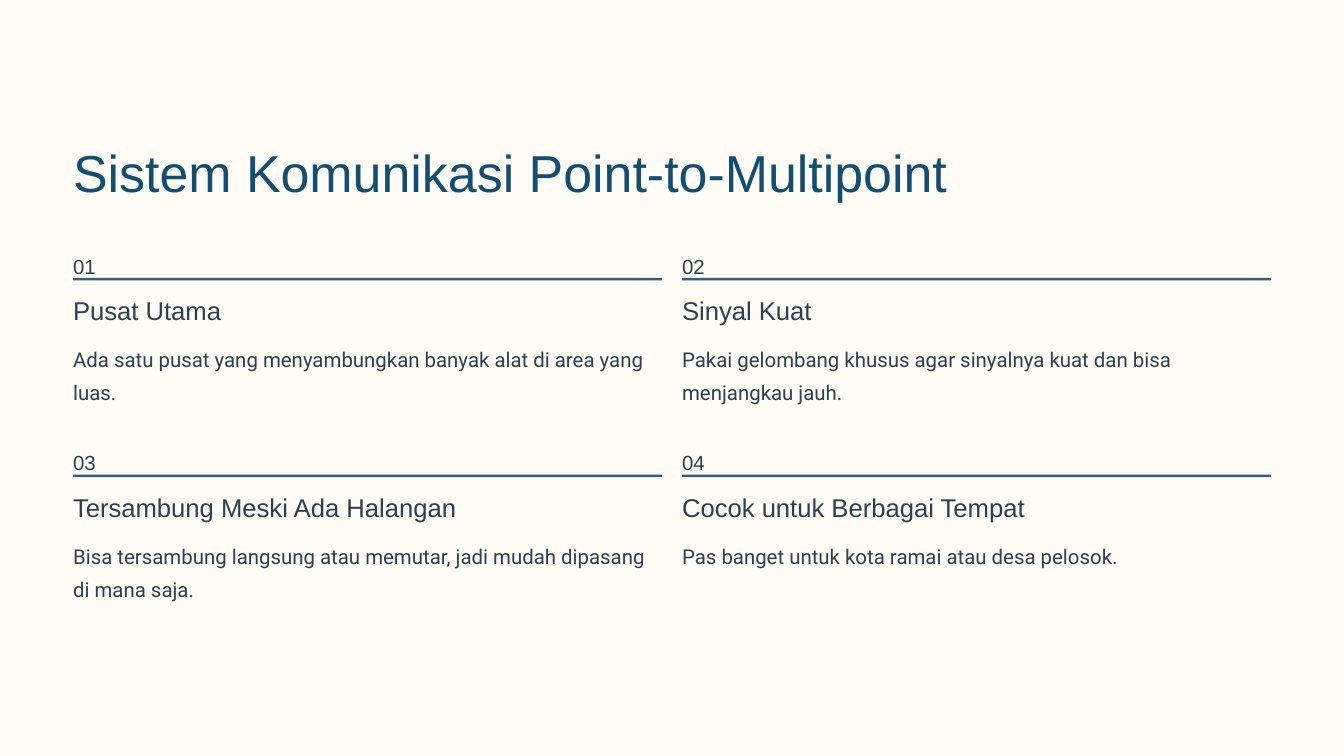
from pptx import Presentation
from pptx.dml.color import RGBColor
from pptx.enum.shapes import MSO_SHAPE as Shape
from pptx.util import Emu, Pt

PX = 9144
WIDTH, HEIGHT = 1600, 900
INK, NAVY, STEEL, CREAM = "2B4150", "124E73", "325F7B", "FFFCF5"
LEFT, TOP, COLUMN_WIDTH = 87, 292, 701
COLUMN_STEP, ROW_STEP = 725, 234

POINTS = [
    ("Pusat Utama", 310, 79,
     "Ada satu pusat yang menyambungkan banyak alat di area yang luas."),
    ("Sinyal Kuat", 310, 79,
     "Pakai gelombang khusus agar sinyalnya kuat dan bisa menjangkau jauh."),
    ("Tersambung Meski Ada Halangan", 517, 79,
     "Bisa tersambung langsung atau memutar, jadi mudah dipasang di mana saja."),
    ("Cocok untuk Berbagai Tempat", 451, 40,
     "Pas banget untuk kota ramai atau desa pelosok."),
]


def px(*lengths):
    return [Emu(length * PX) for length in lengths]


def color(value):
    return RGBColor.from_string(value)


class Page:
    """Holds the deck, its current slide and the text style."""

    def __init__(self):
        """Start a deck with one blank slide."""
        self.deck = Presentation()
        self.deck.slide_width, self.deck.slide_height = px(WIDTH, HEIGHT)
        self.slide = self.deck.slides.add_slide(self.deck.slide_layouts[6])

    def text(self, words, area, size, spacing, font="Arial", ink=INK, wrap=False):
        """Add a text box without margins."""
        frame = self.slide.shapes.add_textbox(*px(*area)).text_frame
        frame.margin_left = frame.margin_right = 0
        frame.margin_top = frame.margin_bottom = 0
        frame.word_wrap = wrap
        frame.text = words
        para = frame.paragraphs[0]
        para.line_spacing = Pt(spacing)
        for span in para.runs:
            span.font.name = font
            span.font.size = Pt(size)
            span.font.color.rgb = color(ink)

    def panel(self, area, fill):
        """Add a filled rectangle without outline."""
        box = self.slide.shapes.add_shape(Shape.RECTANGLE, *px(*area))
        box.shadow.inherit = False
        box.fill.solid()
        box.fill.fore_color.rgb = color(fill)
        box.line.fill.background()

    def point(self, index, title, title_width, body_height, body):
        """Add one numbered point in the two-column grid."""
        row, column = divmod(index, 2)
        left = LEFT + column * COLUMN_STEP
        top = TOP + row * ROW_STEP
        self.text(f"{index + 1:02d}", (left, top, 30, 31), 17.5, 28.5)
        self.panel((left, top + 39, COLUMN_WIDTH, 3), STEEL)
        self.text(title, (left, top + 58, title_width, 39), 22, 27.5)
        self.text(body, (left, top + 111, COLUMN_WIDTH, body_height),
                  17.5, 28.5, font="Roboto", wrap=True)


def main():
    page = Page()
    page.panel((0, 0, WIDTH, HEIGHT), CREAM)
    page.text("Sistem Komunikasi Point-to-Multipoint", (LEFT, 165, 1185, 78),
              44.5, 55.5, ink=NAVY)
    for index, point in enumerate(POINTS):
        page.point(index, *point)
    page.deck.save("out.pptx")


if __name__ == "__main__":
    main()
